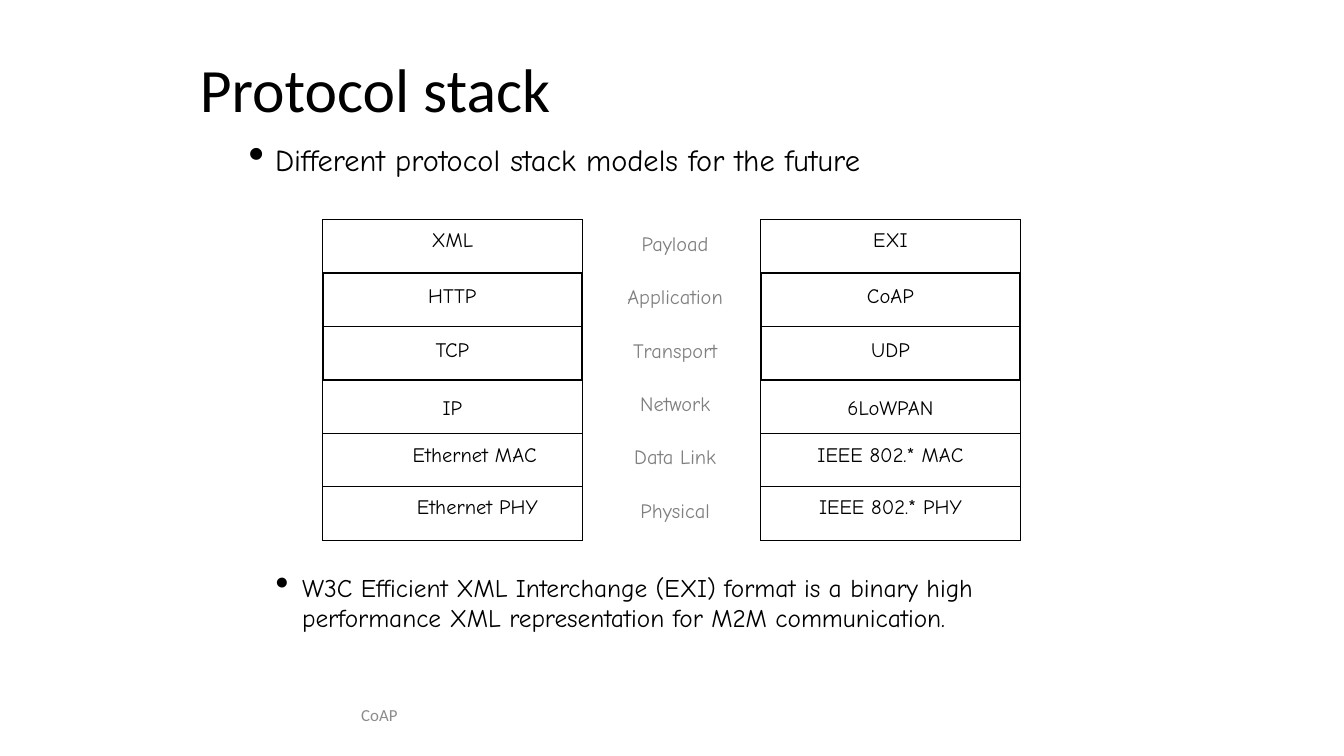
from lxml import etree
from pptx import Presentation
from pptx.dml.color import RGBColor
from pptx.enum.text import MSO_ANCHOR, PP_ALIGN
from pptx.oxml.ns import qn
from pptx.util import Cm, Pt

LEFT, CENTER = PP_ALIGN.LEFT, PP_ALIGN.CENTER
TOP, MIDDLE = MSO_ANCHOR.TOP, MSO_ANCHOR.MIDDLE
HEAD_FONT, BODY_FONT = "Calibri", "Comic Neue"
BLACK, GREY, LIGHT_GREY = "000000", "7F7F7F", "8C8C8C"
THIN, THICK = 0.5, 1
ROW_H = 1.01

LAYERS = ["Payload", "Application", "Transport", "Network", "Data Link", "Physical"]
# Each cell: text, left indent in cm (None centres the text)
WEB_STACK = [("XML", None), ("HTTP", None), ("TCP", None), ("IP", None),
             ("Ethernet MAC", 1.7), ("Ethernet PHY", 1.78)]
IOT_STACK = [("EXI", None), ("CoAP", None), ("UDP", None), ("6LoWPAN", None),
             ("IEEE 802.* MAC", None), ("IEEE 802.* PHY", None)]
TOP_INSETS = [0.18, 0.23, 0.23, 0.33, 0.2, 0.18]
# Widths of the horizontal rules, from the top edge to the bottom edge
RULES = [THIN, THICK, THICK, THICK, THIN, THIN, THIN]
SIDES = [THIN, THICK, THICK, THIN, THIN, THIN]


def rgb(color):
    return RGBColor.from_string(color)


def style(p, size, color, font, align=LEFT):
    p.alignment = align
    p.font.size = Pt(size)
    p.font.name = font
    p.font.color.rgb = rgb(color)


def add_text(s, box, text, size, color, font=BODY_FONT, align=LEFT,
             anchor=TOP, inset=0.0):
    tf = s.shapes.add_textbox(*map(Cm, box)).text_frame
    tf.word_wrap = True
    tf.vertical_anchor = anchor
    tf.margin_left = tf.margin_right = tf.margin_bottom = 0
    tf.margin_top = Cm(inset)
    p = tf.paragraphs[0]
    p.text = text
    style(p, size, color, font, align)
    return p


def add_bullet(s, box, text, size):
    p = add_text(s, box, text, size, BLACK, inset=0.03)
    pPr = p._p.get_or_add_pPr()
    pPr.set("marL", str(Cm(0.53)))
    pPr.set("indent", str(-Cm(0.5)))
    # Bullet elements come before the default run properties
    size_el = etree.Element(qn("a:buSzPct"), val="150000")
    char_el = etree.Element(qn("a:buChar"), char="•")
    pPr.find(qn("a:defRPr")).addprevious(size_el)
    size_el.addnext(char_el)


def set_borders(cell, **widths):
    tcPr = cell._tc.get_or_add_tcPr()
    for i, (side, width) in enumerate(widths.items()):
        ln = etree.Element(qn("a:ln" + side), w=str(Pt(width)))
        fill = etree.SubElement(ln, qn("a:solidFill"))
        etree.SubElement(fill, qn("a:srgbClr"), val=BLACK)
        tcPr.insert(i, ln)


def add_stack(s, box, protocols):
    table = s.shapes.add_table(len(protocols), 1, *map(Cm, box)).table
    table.first_row = table.horz_banding = False
    for i, (text, indent) in enumerate(protocols):
        table.rows[i].height = Cm(ROW_H)
        cell = table.cell(i, 0)
        cell.fill.background()
        cell.margin_left = Cm(indent or 0)
        cell.margin_right = cell.margin_bottom = 0
        cell.margin_top = Cm(TOP_INSETS[i])
        p = cell.text_frame.paragraphs[0]
        p.text = text
        style(p, 11, BLACK, BODY_FONT, CENTER if indent is None else LEFT)
        set_borders(cell, L=SIDES[i], R=SIDES[i], T=RULES[i], B=RULES[i + 1])


def add_layers(s, box):
    x, y, w, h = box
    step = h / len(LAYERS)
    for i, name in enumerate(LAYERS):
        add_text(s, (x, y + i * step, w, step), name, 10.9, GREY,
                 align=CENTER, anchor=MIDDLE)


def add_stacks(s, box):
    x, y, w, h = box
    stack_w = 4.9
    gap = w - 2 * stack_w
    add_stack(s, (x, y, stack_w, h), WEB_STACK)
    add_layers(s, (x + stack_w + 0.07, y - 0.06, gap, h))
    add_stack(s, (x + stack_w + gap, y, stack_w, h), IOT_STACK)


def main():
    prs = Presentation()
    prs.slide_width, prs.slide_height = Cm(25.4), Cm(14.29)
    s = prs.slides.add_slide(prs.slide_layouts[6])

    # Title and opening point
    add_text(s, (3.78, 0.53, 14.91, 1.85), "Protocol stack", 33, BLACK,
             HEAD_FONT, anchor=MIDDLE, inset=0.43)
    add_bullet(s, (4.67, 2.64, 13.31, 0.71),
               "Different protocol stack models for the future", 16.3)

    # Two stacks with the layer names between them
    add_stacks(s, (6.1, 4.15, 13.18, ROW_H * len(LAYERS)))

    # Closing point and footer
    add_bullet(s, (5.18, 10.78, 14.58, 1.2),
               "W3C Efficient XML Interchange (EXI) format is a binary high "
               "performance XML representation for M2M communication.", 13.6)
    add_text(s, (4.67, 13.08, 5, 0.81), "CoAP", 9, LIGHT_GREY, HEAD_FONT,
             CENTER, MIDDLE, 0.05)
    prs.save("out.pptx")


if __name__ == "__main__":
    main()
